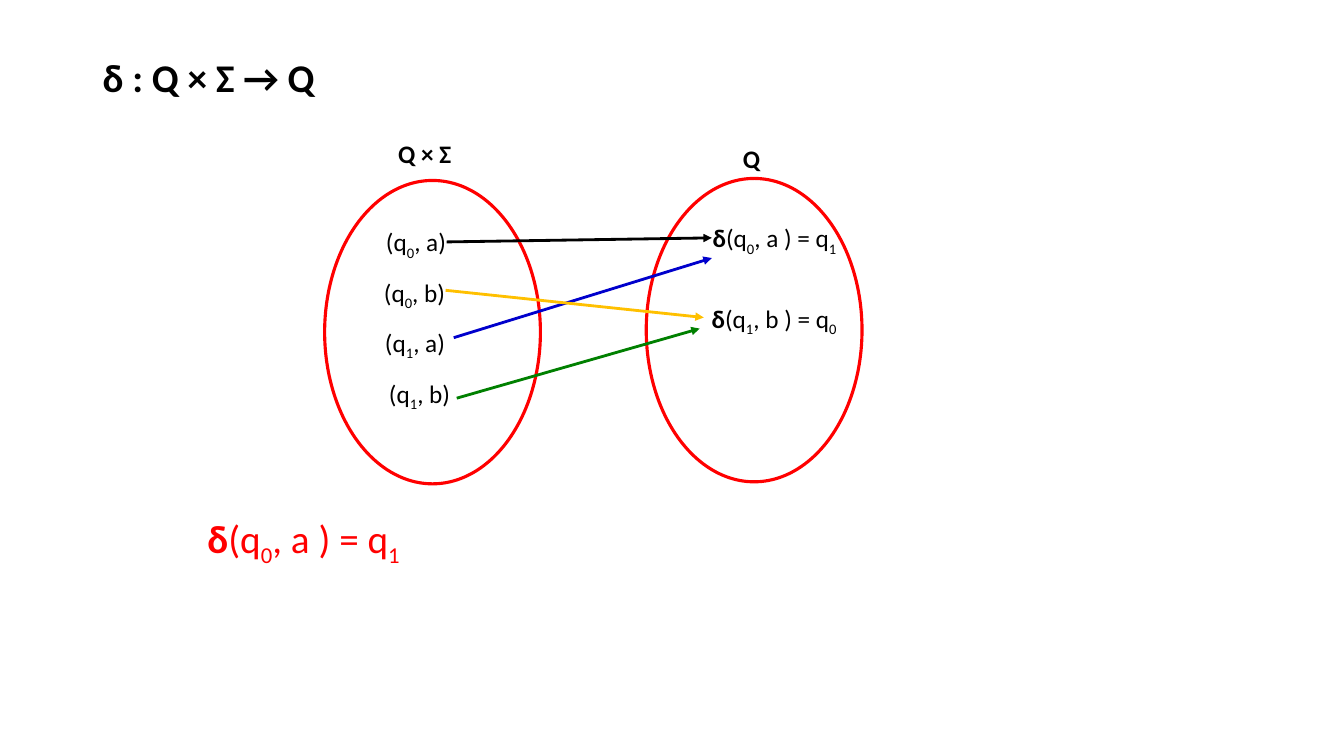
from lxml import etree
from pptx import Presentation
from pptx import util as u
from pptx.dml.color import RGBColor
from pptx.enum import shapes, text
from pptx.oxml import ns

PX = 9144  # EMU per px, 100 px to the inch
FONT = "Calibri"
BLACK = RGBColor(0x00, 0x00, 0x00)
RED = RGBColor(0xFF, 0x00, 0x00)
GREEN = RGBColor(0x00, 0x80, 0x00)
BLUE = RGBColor(0x00, 0x00, 0xCC)
AMBER = RGBColor(0xFF, 0xC0, 0x00)

SET_SIZE = (214, 301)
PAIR_TOP, PAIR_PITCH = 220, 50


def px(*lengths):
    return [u.Emu(length * PX) for length in lengths]


def add_run(paragraph, words, size, color, bold=False, subscript=False):
    run = paragraph.add_run()
    run.text = words
    font = run.font
    font.name, font.size, font.bold = FONT, u.Pt(size), bold
    font.color.rgb = color
    if subscript:
        run._r.get_or_add_rPr().set("baseline", "-25000")


def add_text(slide, words, box, size=18, color=BLACK, bold=False, lead="",
             line_spacing=None):
    """Write words after a bold lead; the character after each _ is a subscript."""
    frame = slide.shapes.add_textbox(*px(*box)).text_frame
    frame.word_wrap = True
    frame.vertical_anchor = text.MSO_ANCHOR.TOP
    paragraph = frame.paragraphs[0]
    paragraph.line_spacing = line_spacing
    if lead:
        add_run(paragraph, lead, size, color, bold=True)
    first, *others = words.split("_")
    add_run(paragraph, first, size, color, bold)
    for part in others:
        add_run(paragraph, part[0], size, color, bold, subscript=True)
        if part[1:]:
            add_run(paragraph, part[1:], size, color, bold)


def add_set(slide, left, top):
    shape = slide.shapes.add_shape(shapes.MSO_SHAPE.OVAL, *px(left, top, *SET_SIZE))
    shape.shadow.inherit = False
    shape.fill.background()
    shape.line.color.rgb = RED
    shape.line.width = u.Pt(2.25)


def add_arrow(slide, start, end, color):
    arrow = slide.shapes.add_connector(
        shapes.MSO_CONNECTOR.STRAIGHT, *px(*start, *end))
    arrow.line.color.rgb = color
    arrow.line.width = u.Pt(2)
    head = etree.SubElement(arrow.line._get_or_add_ln(), ns.qn("a:tailEnd"))
    head.set("type", "triangle")
    etree.SubElement(arrow._element.spPr, ns.qn("a:effectLst"))


def main():
    presentation = Presentation()
    presentation.slide_width, presentation.slide_height = px(1333, 750)
    slide = presentation.slides.add_slide(presentation.slide_layouts[6])

    # Signature of the transition function and an example
    add_text(slide, "δ : Q × Σ → Q", (92, 53, 1150, 53), size=28, bold=True,
             line_spacing=0.9)
    add_text(slide, "(q_0, a ) = q_1", (196, 506, 400, 53), size=28, color=RED,
             lead="δ", line_spacing=0.9)

    # Domain and codomain
    add_set(slide, 322, 179)
    add_set(slide, 641, 177)
    add_text(slide, "Q × Σ", (385, 132, 88, 40), bold=True)
    add_text(slide, "Q", (727, 137, 41, 40), bold=True)

    # State and symbol pairs
    pairs = [("(q_0, a)", 373), ("(q_0, b)", 371), ("(q_1, a)", 372), ("(q_1, b)", 376)]
    for row, (pair, left) in enumerate(pairs):
        add_text(slide, pair, (left, PAIR_TOP + row * PAIR_PITCH, 110, 40))

    # Resulting states
    add_text(slide, "(q_0, a ) = q_1", (697, 216, 165, 40), lead="δ")
    add_text(slide, "(q_1, b ) = q_0", (696, 296, 168, 40), lead="δ")

    # Mapping arrows
    for start, end, color in [
        ((443, 240), (706, 236), BLACK),
        ((453, 395), (694, 326), GREEN),
        ((450, 335), (706, 256), BLUE),
        ((442, 288), (698, 315), AMBER),
    ]:
        add_arrow(slide, start, end, color)

    presentation.save("out.pptx")


if __name__ == "__main__":
    main()
